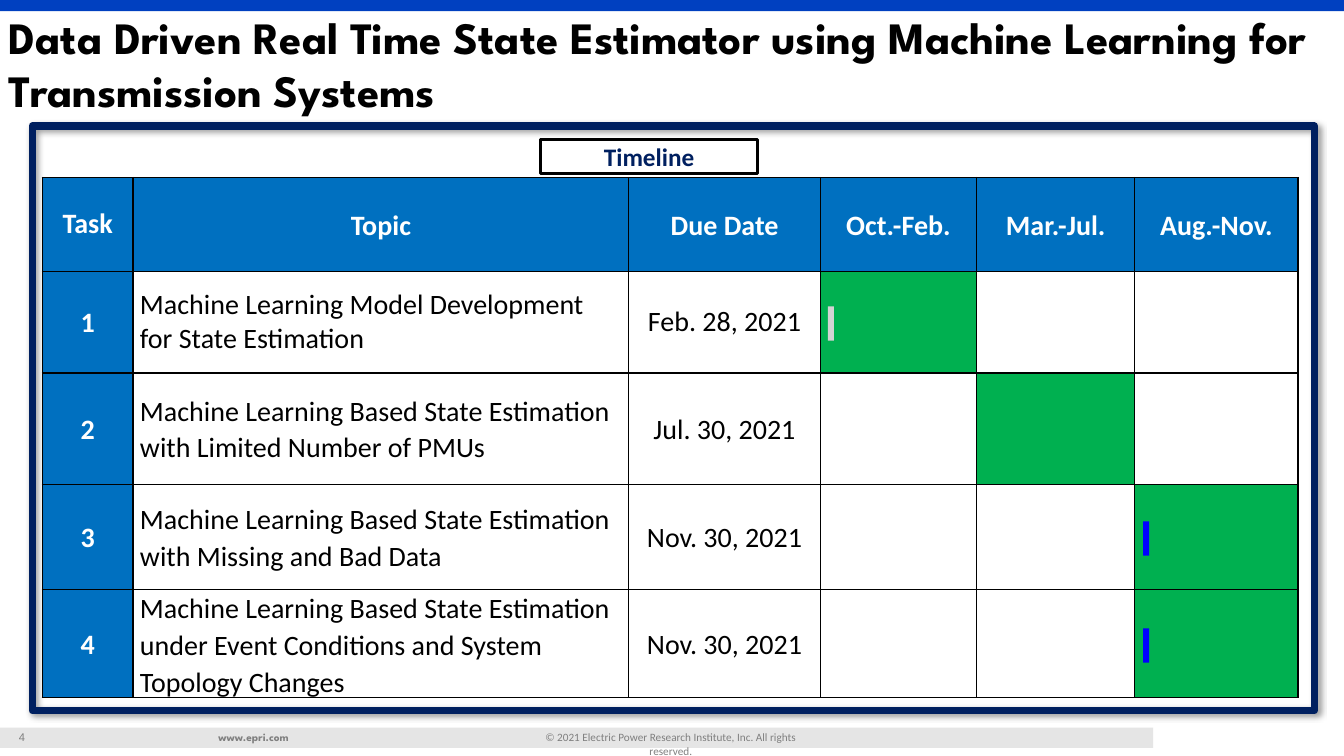
"""Build the project timeline slide."""
from dataclasses import dataclass

import lxml.etree
import pptx
import pptx.dml.color
import pptx.enum.shapes
import pptx.enum.text
import pptx.oxml.ns
import pptx.util

Pt = pptx.util.Pt
qn = pptx.oxml.ns.qn
ALIGN = pptx.enum.text.PP_ALIGN
ANCHOR = pptx.enum.text.MSO_ANCHOR
HUES = {
    "black": "000000", "white": "FFFFFF", "navy": "002060", "top": "0040C0",
    "head": "0070C0", "done": "00B050", "foot": "E5E5E5", "note": "7F7F7F",
    "pale": "D3D3D3", "blue": "0000FF",
}
COLS = (64.8, 354.2, 136.8, 111.6, 113, 116.6)
ROWS = (67, 72.7, 79.9, 74.9, 74.9)
HEADS = ("Task", "Topic", "Due Date", "Oct.-Feb.", "Mar.-Jul.", "Aug.-Nov.")
BASED = "Machine Learning Based State Estimation "


@dataclass
class Box:
    left: float
    top: float
    width: float
    height: float
    fill: str = ""
    line: str = ""
    weight: float = 0


@dataclass
class Task:
    topic: str
    due: str
    term: int
    space: float = 1.07


@dataclass
class Note:
    text: str
    left: float
    width: float
    font: str
    bold: bool = False
    align: ALIGN = ALIGN.LEFT


TASKS = (
    Task("Machine Learning Model Development for State Estimation", "Feb. 28, 2021", 3, 1),
    Task(BASED + "with Limited Number of PMUs", "Jul. 30, 2021", 4),
    Task(BASED + "with Missing and Bad Data", "Nov. 30, 2021", 5),
    Task(BASED + "under Event Conditions and System Topology Changes", "Nov. 30, 2021", 5),
)
NOTES = (
    Note("© 2021 Electric Power Research Institute, Inc. All rights reserved.",
         366.5, 225.4, "Calibri", align=ALIGN.CENTER),
    Note("www.epri.com", 149, 95.8, "League Spartan", True),
    Note("4", 6.5, 64, "Arial"),
)
MARKS = (
    Box(591.3, 218.8, 4.3, 24.5, "pale"),
    Box(816.5, 372.5, 4.3, 24.5, "blue"),
    Box(816.5, 448.8, 4.3, 24.5, "blue"),
)


def tint(name: str) -> pptx.dml.color.RGBColor:
    """Return a named colour."""
    return pptx.dml.color.RGBColor.from_string(HUES[name])


def write(frame, text: str, *, size: float, font: str = "Calibri", hue: str = "black",
          bold: bool = False, align: ALIGN = ALIGN.LEFT, space: float = 1) -> None:
    """Write one formatted paragraph."""
    para = frame.paragraphs[0]
    para.alignment = align
    para.line_spacing = space
    run = para.add_run()
    run.text = text
    run.font.size = Pt(size)
    run.font.name = font
    run.font.bold = bold
    run.font.color.rgb = tint(hue)


def draw(slide, box: Box):
    """Draw a rectangle without a shadow."""
    shape = slide.shapes.add_shape(
        pptx.enum.shapes.MSO_SHAPE.RECTANGLE,
        Pt(box.left), Pt(box.top), Pt(box.width), Pt(box.height))
    shape.shadow.inherit = False
    if box.fill:
        shape.fill.solid()
        shape.fill.fore_color.rgb = tint(box.fill)
    else:
        shape.fill.background()
    if box.line:
        shape.line.color.rgb = tint(box.line)
        shape.line.width = Pt(box.weight)
    else:
        shape.line.fill.background()
    return shape


def shade(shape) -> None:
    """Give a shape a soft outer shadow."""
    group = shape.element.spPr.find(qn("a:effectLst"))
    outer = lxml.etree.SubElement(
        group, qn("a:outerShdw"), blurRad=str(Pt(4)), dist=str(Pt(3)),
        dir="2700000", algn="tl", rotWithShape="0")
    colour = lxml.etree.SubElement(outer, qn("a:srgbClr"), val=HUES["black"])
    lxml.etree.SubElement(colour, qn("a:alpha"), val="40000")


def style(cell, hue: str) -> None:
    """Set the borders, fill and margins of a cell."""
    props = cell._tc.get_or_add_tcPr()
    for side in "LRTB":
        edge = lxml.etree.SubElement(props, qn("a:ln" + side), w=str(Pt(1)))
        fill = lxml.etree.SubElement(edge, qn("a:solidFill"))
        lxml.etree.SubElement(fill, qn("a:srgbClr"), val=HUES["black"])
    cell.fill.solid()
    cell.fill.fore_color.rgb = tint(hue)
    cell.vertical_anchor = ANCHOR.MIDDLE
    cell.margin_left = cell.margin_right = Pt(5)
    cell.margin_top = cell.margin_bottom = 0


def plan(slide) -> None:
    """Add the task table."""
    table = slide.shapes.add_table(
        len(ROWS), len(COLS), Pt(30.2), Pt(126.7), Pt(sum(COLS)), Pt(sum(ROWS))).table
    table.first_row = table.horz_banding = False
    for col, width in zip(table.columns, COLS):
        col.width = Pt(width)
    for row, height in zip(table.rows, ROWS):
        row.height = Pt(height)
    for col, text in enumerate(HEADS):
        cell = table.cell(0, col)
        style(cell, "head")
        write(cell.text_frame, text, size=20, hue="white", bold=True,
              align=ALIGN.CENTER, space=1.07 if col else 1)
    for row, task in enumerate(TASKS, 1):
        for col in range(len(COLS)):
            style(table.cell(row, col),
                  "done" if col == task.term else "white" if col else "head")
        write(table.cell(row, 0).text_frame, str(row), size=20, hue="white",
              bold=True, align=ALIGN.CENTER, space=1.07)
        write(table.cell(row, 1).text_frame, task.topic, size=20, space=task.space)
        write(table.cell(row, 2).text_frame, task.due, size=20,
              align=ALIGN.CENTER, space=task.space)


def main() -> None:
    """Build and save the slide."""
    deck = pptx.Presentation()
    deck.slide_width, deck.slide_height = Pt(960), Pt(540)
    slide = deck.slides.add_slide(deck.slide_layouts[5])

    draw(slide, Box(0, 519.8, 823.7, 14.4, "foot"))
    for note in NOTES:
        area = slide.shapes.add_textbox(
            Pt(note.left), Pt(518.4), Pt(note.width), Pt(17.3))
        area.text_frame.word_wrap = True
        write(area.text_frame, note.text, size=8, font=note.font, hue="note",
              bold=note.bold, align=note.align)
    draw(slide, Box(0, 0, 960, 7.9, "top"))

    title = slide.shapes.title
    title.left, title.top, title.width, title.height = Pt(1.4), Pt(20.2), Pt(958), Pt(49.7)
    frame = title.text_frame
    frame.auto_size = pptx.enum.text.MSO_AUTO_SIZE.NONE
    frame.word_wrap = True
    frame.vertical_anchor = ANCHOR.MIDDLE
    frame.margin_left = frame.margin_right = Pt(5)
    frame.margin_top = frame.margin_bottom = Pt(2.9)
    write(frame, "Data Driven Real Time State Estimator using Machine Learning"
          " for Transmission Systems", size=32, font="League Spartan", bold=True)

    plan(slide)
    for mark in MARKS:
        draw(slide, mark)
    shade(draw(slide, Box(23, 90, 915.8, 417.6, line="navy", weight=5.25)))
    label = draw(slide, Box(385.9, 99.4, 155.5, 24.5, line="black", weight=2.25))
    label.text_frame.vertical_anchor = ANCHOR.MIDDLE
    write(label.text_frame, "Timeline", size=18, hue="navy", bold=True, align=ALIGN.CENTER)
    deck.save("out.pptx")


if __name__ == "__main__":
    main()
